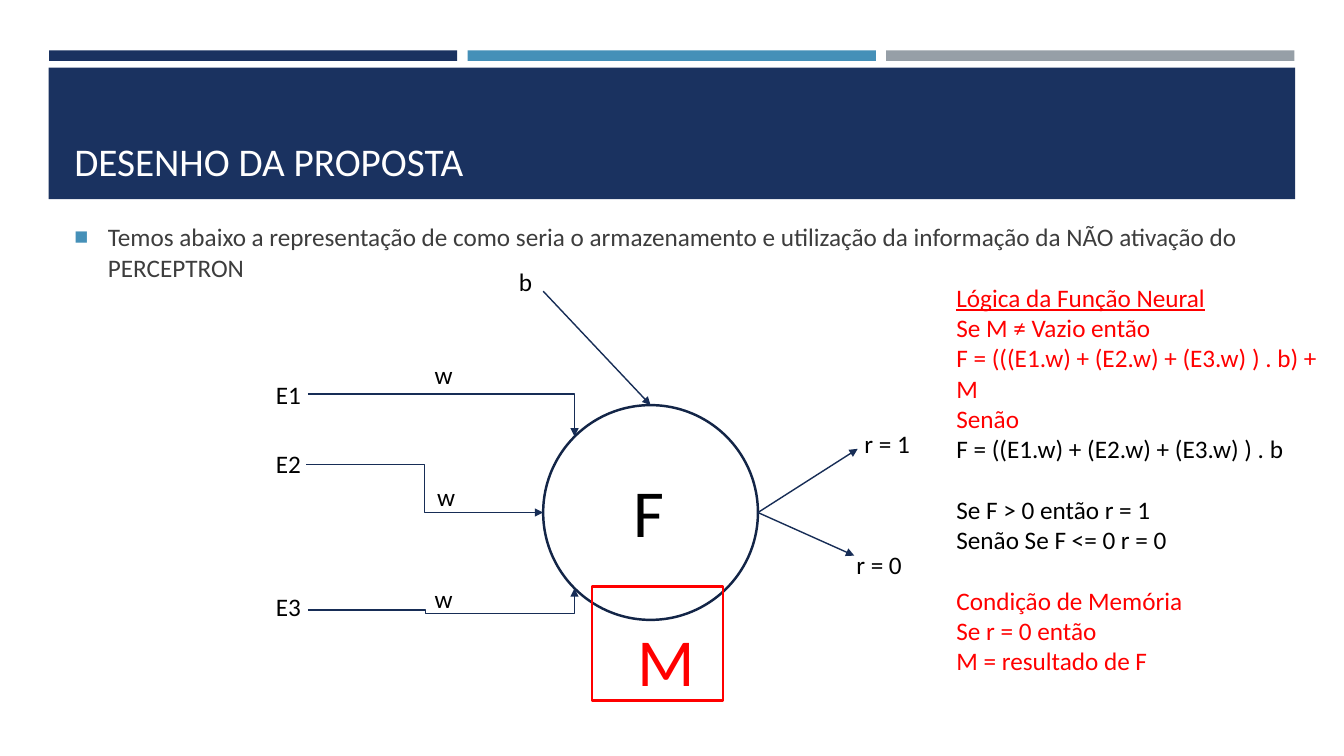
from lxml.etree import SubElement
from pptx import Presentation
from pptx.dml.color import RGBColor
from pptx.enum.shapes import MSO_CONNECTOR as CONN, MSO_SHAPE as SHAPE
from pptx.enum.text import MSO_ANCHOR as ANCHOR, MSO_AUTO_SIZE as FIT, PP_ALIGN as ALIGN
from pptx.oxml.ns import qn
from pptx.util import Pt

NAVY, BLUE, GRAY, INK = "1A3260", "4590B8", "969FA7", "172D56"
RED, BLACK, WHITE, BODY = "FF0000", "000000", "FFFFFF", "3D3D3D"


def rgb(value):
    """Turn a hex string into a colour."""
    return RGBColor.from_string(value)


class Deck:
    """Hold the style and the current slide."""

    def __init__(self, prs, font="Calibri", size=18):
        """Add a blank slide and keep the text style."""
        self.s = prs.slides.add_slide(prs.slide_layouts[6])
        self.font, self.size = font, size

    def shape(self, kind, box, fill=None, line=None, weight=1.75):
        """Draw a preset shape with a fill, an outline or both."""
        sp = self.s.shapes.add_shape(kind, *map(Pt, box))
        sp.shadow.inherit = False
        if fill:
            sp.fill.solid()
            sp.fill.fore_color.rgb = rgb(fill)
        else:
            sp.fill.background()
        if line:
            sp.line.color.rgb = rgb(line)
            sp.line.width = Pt(weight)
        else:
            sp.line.fill.background()

    def text(self, box, paragraphs, color=BLACK, size=None, wrap=False, anchor=ANCHOR.TOP):
        """Write (text, colour, font values, paragraph values) rows or one string."""
        tf = self.s.shapes.add_textbox(*map(Pt, box)).text_frame
        tf.word_wrap, tf.vertical_anchor = wrap, anchor
        tf.auto_size = FIT.NONE if wrap else FIT.SHAPE_TO_FIT_TEXT
        rows = [(paragraphs, color, {}, {})] if isinstance(paragraphs, str) else paragraphs
        for i, (words, tint, font, layout) in enumerate(rows):
            p = tf.add_paragraph() if i else tf.paragraphs[0]
            r = p.add_run()
            r.text = words
            r.font.color.rgb = rgb(tint)
            base = {"name": self.font, "size": Pt(size or self.size)}
            for target, values in ((r.font, base | font), (p, {"alignment": ALIGN.LEFT} | layout)):
                for key, value in values.items():
                    setattr(target, key, value)
        return tf

    def bullet(self, p, color, indent):
        """Give a paragraph a hanging square bullet."""
        pPr = p._p.get_or_add_pPr()
        pPr.set("marL", str(Pt(indent)))
        pPr.set("indent", str(-Pt(indent)))
        SubElement(SubElement(pPr, qn("a:buClr")), qn("a:srgbClr"), val=color)
        SubElement(pPr, qn("a:buSzPct"), val="92000")
        SubElement(pPr, qn("a:buFont"), typeface="Arial")
        SubElement(pPr, qn("a:buChar"), char="■")

    def arrow(self, start, end, bend=None, adjust=()):
        """Draw an arrow, straight or as a bent connector with adjustments."""
        kind = CONN.ELBOW if bend else CONN.STRAIGHT
        c = self.s.shapes.add_connector(kind, *map(Pt, start + end))
        c.line.color.rgb = rgb(INK)
        c.line.width = Pt(1)
        spPr = c._element.spPr
        if bend:
            geom = spPr.find(qn("a:prstGeom"))
            geom.set("prst", f"bentConnector{bend}")
            for i, value in enumerate(adjust, 1):
                SubElement(geom.find(qn("a:avLst")), qn("a:gd"), name=f"adj{i}", fmla=f"val {value}")
        SubElement(spPr.find(qn("a:ln")), qn("a:tailEnd"), type="triangle")
        SubElement(spPr, qn("a:effectLst"))


prs = Presentation()
prs.slide_width, prs.slide_height = Pt(960), Pt(540)
deck = Deck(prs)

for i, color in enumerate((NAVY, BLUE, GRAY)):
    deck.shape(SHAPE.RECTANGLE, (35 + 299 * i, 36, 291.6, 7.5), color)
deck.shape(SHAPE.RECTANGLE, (34.8, 48.4, 890.4, 93.8), NAVY)
deck.text((46, 55.4, 868, 80), "DESENHO DA PROPOSTA", WHITE, 28, True, ANCHOR.BOTTOM)

intro = ("Temos abaixo a representação de como seria o armazenamento e utilização "
         "da informação da NÃO ativação do PERCEPTRON")
spacing = {"space_before": Pt(3.6), "space_after": Pt(6)}
tf = deck.text((46, 152, 868, 56), [(intro, BODY, {}, spacing)], wrap=True, anchor=ANCHOR.MIDDLE)
deck.bullet(tf.paragraphs[0], BLUE, 24)

left, top, size = 388, 289.4, 153.4
right, mid_x, mid_y = left + size, left + size / 2, top + size / 2
corner_x = left + 22.4
deck.shape(SHAPE.OVAL, (left, top, size, size), line="132547")
deck.arrow((220, 281.5), (corner_x, 311.8), 2)
deck.arrow((218.6, 331.7), (left, mid_y), 3)
deck.arrow((220, 435.7), (corner_x, 420.3), 4, (44100, -15600))
deck.arrow((left, 208), (mid_x, top))
for tip in ((612.7, 320.6), (610.2, 396.9)):
    deck.arrow((right, mid_y), tip)

labels = (("E1", 190, 267.4, 33), ("E2", 190, 316.6, 33), ("E3", 190, 418.8, 33),
          ("w", 303.3, 253, 27.4), ("w", 305.1, 340.2, 27.4), ("w", 303.3, 413, 27.4),
          ("b", 363.5, 186.4, 24), ("r = 1", 610.4, 302.4, 52), ("r = 0", 604.6, 388.8, 52))
for words, x, y, width in labels:
    deck.text((x, y, width, 29), words)
deck.text((445.7, 332.1, 37.4, 65.5), "F", size=48)
deck.shape(SHAPE.RECTANGLE, (422.7, 418.8, 93.6, 81.6), line=RED)
deck.text((448, 438.7, 52.6, 65.5), "M", RED, 48)

gap = {"space_before": Pt(21.8)}
logic = [
    ("Lógica da Função Neural", RED, {"underline": True}, {}),
    ("Se M ≠ Vazio então", RED, {}, {}),
    ("F = (((E1.w) + (E2.w) + (E3.w) ) . b) + M", RED, {}, {}),
    ("Senão", RED, {}, {}),
    ("F = ((E1.w) + (E2.w) + (E3.w) ) . b", BLACK, {}, {}),
    ("Se F > 0 então r = 1", BLACK, {}, gap),
    ("Senão Se F <= 0 r = 0", BLACK, {}, {}),
    ("Condição de Memória", RED, {}, gap),
    ("Se r = 0 então", RED, {}, {}),
    ("M = resultado de F", RED, {}, {}),
]
deck.text((676.1, 198, 283, 290.9), logic, wrap=True)

prs.save("out.pptx")
